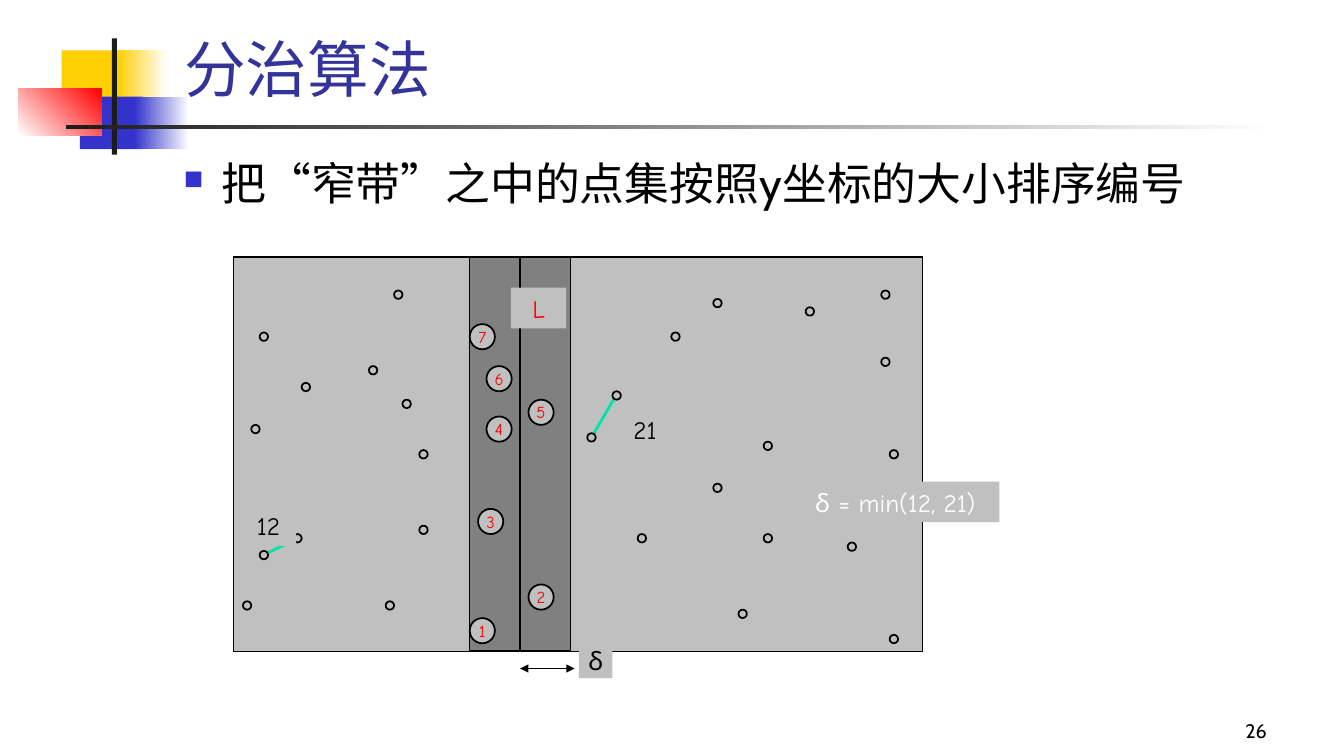
from lxml import etree
from pptx import Presentation
from pptx.dml.color import RGBColor
from pptx.enum.shapes import MSO_CONNECTOR, MSO_SHAPE
from pptx.enum.text import MSO_ANCHOR, MSO_AUTO_SIZE, PP_ALIGN
from pptx.oxml.ns import qn
from pptx.util import Pt

RECT, OVAL = MSO_SHAPE.RECTANGLE, MSO_SHAPE.OVAL
STRAIGHT = MSO_CONNECTOR.STRAIGHT
LEFT, CENTER, RIGHT = PP_ALIGN.LEFT, PP_ALIGN.CENTER, PP_ALIGN.RIGHT
MIDDLE, BOTTOM = MSO_ANCHOR.MIDDLE, MSO_ANCHOR.BOTTOM
rgb = RGBColor.from_string

BLACK, GREY, RED, BLUE = "000000", "C0C0C0", "FF0000", "3333CC"
HEADING_FONT, LABEL_FONT = "Cabin", "Comic Neue"

prs = Presentation()
prs.slide_width, prs.slide_height = Pt(960), Pt(540)
slide = prs.slides.add_slide(prs.slide_layouts[5])


def add_block(kind, box, fill, line=0, text="", size=18, color=BLACK):
    block = slide.shapes.add_shape(kind, *[Pt(v) for v in box])
    block.shadow.inherit = False
    block.fill.solid()
    block.fill.fore_color.rgb = rgb(fill)
    if line:
        block.line.color.rgb = rgb(BLACK)
        block.line.width = Pt(line)
    else:
        block.line.fill.background()
    if text:
        frame = block.text_frame
        frame.word_wrap = False
        frame.vertical_anchor = MIDDLE
        frame.text = text
        frame.paragraphs[0].alignment = CENTER
        font = frame.paragraphs[0].runs[0].font
        font.name, font.size, font.color.rgb = LABEL_FONT, Pt(size), rgb(color)
    return block


def add_line(x1, y1, x2, y2, color, width):
    line = slide.shapes.add_connector(STRAIGHT, Pt(x1), Pt(y1), Pt(x2), Pt(y2))
    line.line.color.rgb = rgb(color)
    line.line.width = Pt(width)
    etree.SubElement(line._element.spPr, qn("a:effectLst"))
    return line


# Corner ornament: box, start colour, end colour, angle
ornament = [
    ((44, 36, 46, 37.5), "FFCF01", None, 0),
    ((84, 36, 35, 37.5), "FFCF01", "FFFFFF", 0),
    ((57, 69, 45, 37.5), BLUE, None, 0),
    ((96, 69, 39, 37.5), BLUE, "FFFFFF", 0),
    ((13, 63.5, 59.5, 33), "FFFFFF", RED, 45),
    ((80, 27.5, 3.5, 83), "1C1C1C", None, 0),
    ((47, 89.5, 864, 2.5), "1C1C1C", "FFFFFF", 0),
]
for box, start, end, angle in ornament:
    patch = add_block(RECT, box, start)
    if end:
        patch.fill.gradient()
        patch.fill.gradient_angle = angle
        for stop, color in zip(patch.fill.gradient_stops, (start, end)):
            stop.color.rgb = rgb(color)

# Slide number
number = slide.shapes.add_textbox(Pt(712), Pt(498), Pt(200), Pt(36)).text_frame
number.word_wrap = True
number.vertical_anchor = BOTTOM
number.text = "26"
number.paragraphs[0].alignment = RIGHT
number_font = number.paragraphs[0].runs[0].font
number_font.name, number_font.size = HEADING_FONT, Pt(14)
number_font.color.rgb = rgb(BLACK)

# Title
title = slide.shapes.title
title.left, title.top, title.width, title.height = Pt(124.5), Pt(20), Pt(613.5), Pt(58.5)
title.text_frame.text = "分治算法"
title.text_frame.auto_size = MSO_AUTO_SIZE.NONE
title.text_frame.vertical_anchor = BOTTOM
heading = title.text_frame.paragraphs[0]
heading.alignment = LEFT
heading_font = heading.runs[0].font
heading_font.name, heading_font.size = HEADING_FONT, Pt(44)
heading_font.color.rgb = rgb("333399")

# Bulleted statement
statement = slide.shapes.add_textbox(Pt(124), Pt(108), Pt(816), Pt(324)).text_frame
statement.word_wrap = True
sentence = statement.paragraphs[0]
bullet = sentence._p.get_or_add_pPr()
bullet.set("marL", str(Pt(27)))
bullet.set("indent", str(-Pt(27)))
bullet_color = etree.SubElement(bullet, qn("a:buClr"))
etree.SubElement(bullet_color, qn("a:srgbClr"), val=BLUE)
etree.SubElement(bullet, qn("a:buSzPct"), val="60000")
etree.SubElement(bullet, qn("a:buChar"), char="■")
for words in ("把", "“", "窄带", "”", "之中的点集按照y坐标的大小排序编号"):
    run = sentence.add_run()
    run.text = words
    run.font.name = "Times New Roman" if words in "“”" else HEADING_FONT
    run.font.size = Pt(32)
    run.font.color.rgb = rgb(BLACK)

# Plane and the narrow strip
add_block(RECT, (167, 183.5, 492, 282), GREY, 1)
add_block(RECT, (335.5, 183.5, 72, 281), "808080", 1)
add_line(371.5, 183.5, 371.5, 466, BLACK, 1)

# Closest pair on each side
add_line(210, 386, 191, 395, "00E4A8", 2)
add_line(438.5, 285, 424, 310, "00E4A8", 2)

# Points as (column, row) on a grid of 6 pt cells
CELL, GRID_LEFT, GRID_TOP = 6, 167.5, 183.5
points = [
    (8, 15), (22, 32), (3, 9), (16, 13), (19, 4), (20, 17), (2, 20), (22, 23),
    (1, 41), (18, 41), (52, 9), (78, 45), (57, 5), (63, 22), (77, 12), (68, 6),
    (48, 33), (77, 4), (57, 27), (60, 42), (78, 23), (63, 33), (73, 34),
    (3, 35), (7, 33), (45, 16), (42, 21),
]
for column, row in points:
    add_block(OVAL, (GRID_LEFT + CELL * column, GRID_TOP + CELL * row, CELL, CELL),
              GREY, 1.25)

# Distances of the two pairs
add_block(RECT, (172, 361, 39.5, 29), GREY, text="12")
add_block(RECT, (441, 292, 39.5, 29), GREY, text="21")

# Strip points numbered by y
strip_points = [(28, 43), (35, 39), (29, 30), (30, 19), (35, 17), (30, 13), (28, 8)]
for rank, (column, row) in enumerate(strip_points, 1):
    add_block(OVAL, (GRID_LEFT + CELL * column, GRID_TOP + CELL * row, 18, 18),
              GREY, 1.25, str(rank), 12, RED)

# Strip half-width arrow
half_width = add_line(371.5, 477.5, 410.5, 477.5, BLACK, 0.75)
for end in ("a:headEnd", "a:tailEnd"):
    etree.SubElement(half_width.line._get_or_add_ln(), qn(end), type="triangle")

# Remaining labels
add_block(RECT, (413.5, 459.5, 24, 25), GREY, text="δ")
add_block(RECT, (365, 205.5, 39.5, 29), GREY, text="L", color=RED)
add_block(RECT, (565, 344, 149, 29), GREY, text="δ = min(12, 21)", color="FFFFFF")

prs.save("out.pptx")
